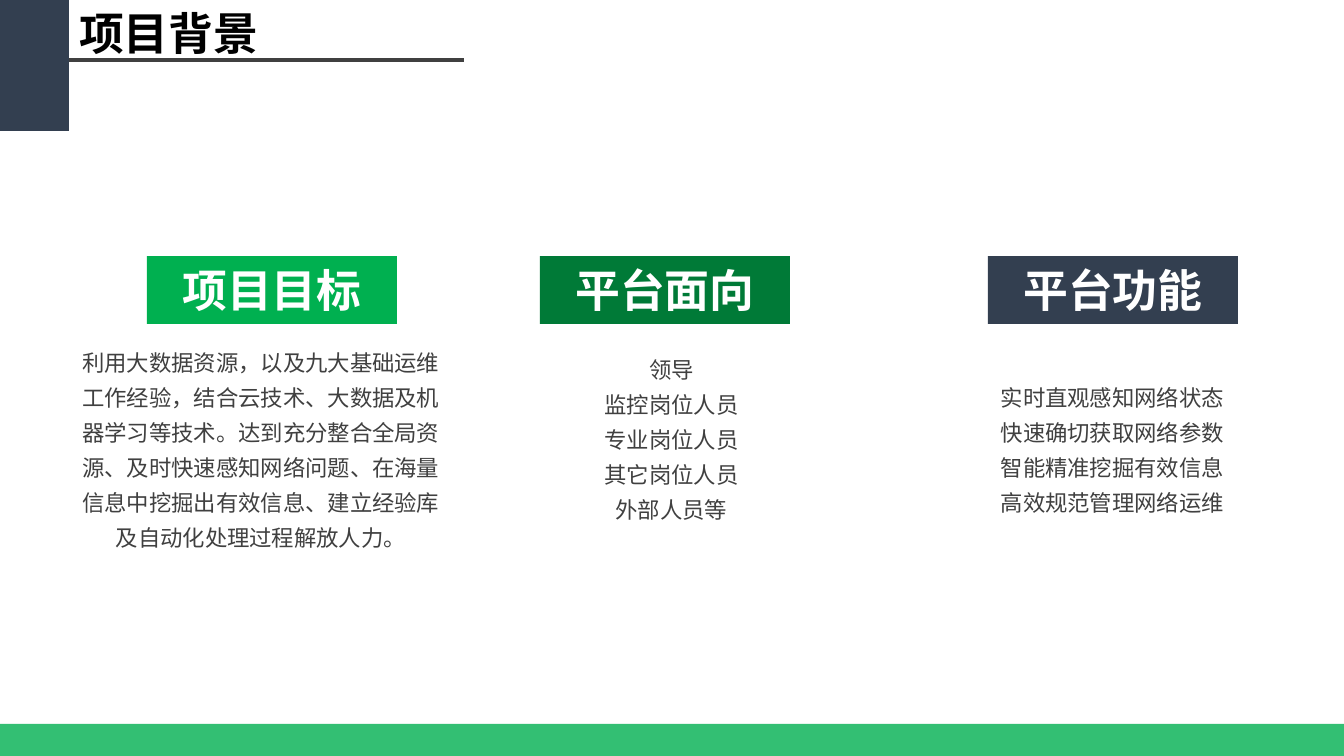
from dataclasses import dataclass
from lxml import etree
from pptx import Presentation
from pptx.dml.color import RGBColor
from pptx.enum.shapes import MSO_CONNECTOR, MSO_SHAPE
from pptx.enum.text import MSO_ANCHOR, PP_ALIGN
from pptx.oxml.ns import qn
from pptx.util import Pt

RECT, LINE = MSO_SHAPE.RECTANGLE, MSO_CONNECTOR.STRAIGHT
LEFT, CENTER = PP_ALIGN.LEFT, PP_ALIGN.CENTER
TOP, MIDDLE = MSO_ANCHOR.TOP, MSO_ANCHOR.MIDDLE
W, H = 1344, 756


@dataclass(frozen=True)
class Theme:
    navy: str = "333F50"
    green: str = "00B050"
    dark_green: str = "007A37"
    gray: str = "404040"
    black: str = "000000"
    white: str = "FFFFFF"
    cjk: str = "Noto Sans CJK SC"
    latin: str = "Calibri"
    heading: int = 32
    body: int = 16


T = Theme()

# Heading, fill, banner left, body box, body paragraphs
COLUMNS = [
    ("项目目标", T.green, 147, (69, 337, 384, 220),
     ["利用大数据资源，以及九大基础运维工作经验，结合云技术、大数据及机器学习等技术。"
      "达到充分整合全局资源、及时快速感知网络问题、在海量信息中挖掘出有效信息、"
      "建立经验库及自动化处理过程解放人力。"]),
    ("平台面向", T.dark_green, 540, (549, 344, 245, 183),
     ["领导", "监控岗位人员", "专业岗位人员", "其它岗位人员", "外部人员等"]),
    ("平台功能", T.navy, 988, (914, 372, 397, 148),
     ["实时直观感知网络状态", "快速确切获取网络参数",
      "智能精准挖掘有效信息", "高效规范管理网络运维"]),
]


def px(n):
    return round(n * 914400 / 100.8)


def rgb(color):
    return RGBColor.from_string(color)


def write(s, paragraphs, *, size, color, font=T.cjk, bold=False, align=LEFT,
          anchor=TOP, spacing=None, inset=(10, 5)):
    tf = s.text_frame
    tf.word_wrap = True
    tf.vertical_anchor = anchor
    tf.margin_left = tf.margin_right = px(inset[0])
    tf.margin_top = tf.margin_bottom = px(inset[1])
    for i, text in enumerate(paragraphs):
        p = tf.add_paragraph() if i else tf.paragraphs[0]
        p.alignment = align
        if spacing:
            p.line_spacing = spacing
        r = p.add_run()
        r.text = text
        r.font.size, r.font.bold, r.font.name = Pt(size), bold, font
        r.font.color.rgb = rgb(color)
        ea = etree.SubElement(r.font._element, qn("a:ea"))
        ea.set("typeface", T.cjk)


def add_text(slide, box, paragraphs, **fmt):
    s = slide.shapes.add_textbox(*map(px, box))
    write(s, paragraphs, **fmt)


def add_rect(slide, box, color, alpha=None):
    s = slide.shapes.add_shape(RECT, *map(px, box))
    s.shadow.inherit = False
    s.fill.solid()
    s.fill.fore_color.rgb = rgb(color)
    s.line.fill.background()
    if alpha:
        clr = s.fill._xPr.find(".//" + qn("a:srgbClr"))
        etree.SubElement(clr, qn("a:alpha")).set("val", str(alpha * 1000))
    return s


def add_header(slide, x, y, w, h):
    # Corner block, rule and slide title
    block = 69
    add_rect(slide, (x, y, block, h), T.navy)
    rule = slide.shapes.add_connector(
        LINE, px(x + block), px(y + 60), px(x + w), px(y + 60))
    rule.line.color.rgb = rgb(T.gray)
    rule.line.width = Pt(3)
    etree.SubElement(rule._element.spPr, qn("a:effectLst"))
    add_text(slide, (x + block, y + 1, 203, 65), ["项目背景"],
             size=T.heading, color=T.black, bold=True)


def add_column(slide, banner, body, heading, color, paragraphs):
    # Coloured banner with its centred text below
    s = add_rect(slide, banner, color)
    write(s, [heading], size=T.heading, color=T.white, font=T.latin,
          bold=True, align=CENTER, anchor=MIDDLE)
    add_text(slide, body, paragraphs, size=T.body, color=T.gray,
             align=CENTER, spacing=1.3, inset=(7, 4))


def main():
    prs = Presentation()
    prs.slide_width, prs.slide_height = px(W), px(H)
    slide = prs.slides.add_slide(prs.slide_layouts[6])
    add_header(slide, 0, 0, 464, 131)
    for heading, color, left, body, paragraphs in COLUMNS:
        add_column(slide, (left, 256, 250, 68), body, heading, color, paragraphs)
    # Footer band
    add_rect(slide, (0, 724, W, H - 724), T.green, alpha=80)
    prs.save("out.pptx")


if __name__ == "__main__":
    main()
